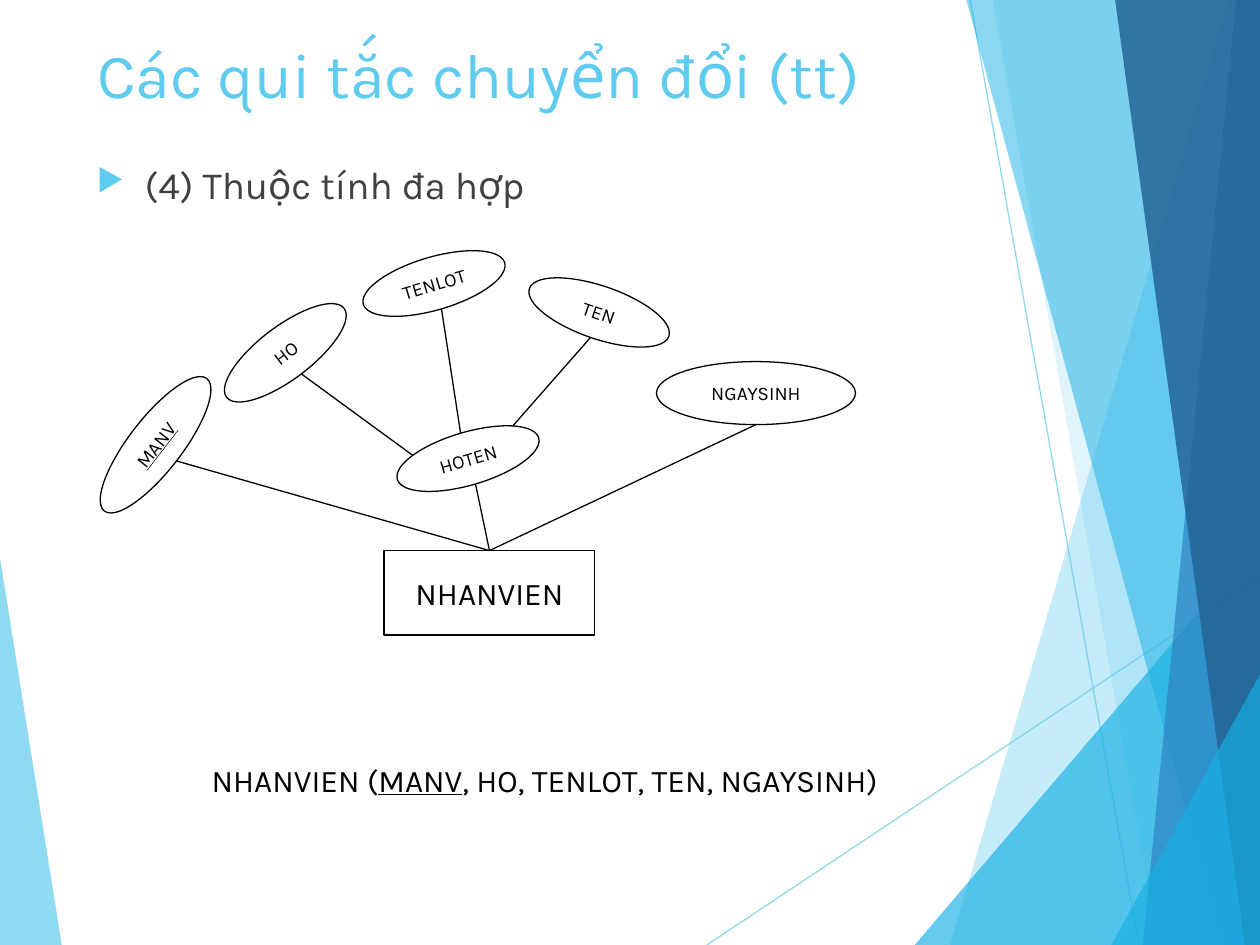
"""Build the slide on mapping a composite attribute to a relation."""
import math
from collections import namedtuple
from lxml import etree
from pptx import Presentation
from pptx import util as u
from pptx.dml.color import RGBColor
from pptx.enum import shapes, text
from pptx.oxml import ns

SKY = RGBColor(0x5F, 0xCB, 0xEF)
CYAN = RGBColor(0x17, 0xB0, 0xE4)
BLUE = RGBColor(0x2E, 0x83, 0xC3)
NAVY = RGBColor(0x22, 0x62, 0x92)
GREY = RGBColor(0x40, 0x40, 0x40)
BLACK = RGBColor(0, 0, 0)
COLUMNS, ROWS = 100, 75

Node = namedtuple("Node", "left top width height rotation")


def rim(node, degrees):
    """Return the point on a turned ellipse at an angle counted clockwise from its right."""
    angle, turn = math.radians(degrees), math.radians(node.rotation)
    x = node.width / 2 * math.cos(angle)
    y = node.height / 2 * math.sin(angle)
    return (node.left + node.width / 2 + x * math.cos(turn) - y * math.sin(turn),
            node.top + node.height / 2 + x * math.sin(turn) + y * math.cos(turn))


class Canvas:
    """Hold the style and the current slide."""

    font = "Karla"

    def __init__(self, presentation):
        self.unit_x = presentation.slide_width / COLUMNS
        self.unit_y = presentation.slide_height / ROWS
        self.slide = presentation.slides.add_slide(presentation.slide_layouts[5])

    def place(self, x, y):
        """Turn columns and rows into lengths."""
        return u.Emu(round(x * self.unit_x)), u.Emu(round(y * self.unit_y))

    def box(self, left, top, width, height):
        """Turn a grid box into lengths."""
        return *self.place(left, top), *self.place(width, height)

    def fade(self, shape, opacity):
        """Make the colours of a shape see-through."""
        for color in shape.element.spPr.iter(ns.qn("a:srgbClr")):
            etree.SubElement(color, ns.qn("a:alpha"), val=str(opacity * 1000))

    def style(self, paragraph, size, color, align=text.PP_ALIGN.CENTER, underlined=""):
        """Format a paragraph and its runs."""
        paragraph.alignment = align
        for run in paragraph.runs:
            run.font.name, run.font.size = self.font, u.Pt(size)
            run.font.color.rgb = color
            if run.text == underlined:
                run.font.underline = True

    def title(self, words, *box):
        """Fill and move the title placeholder."""
        shape = self.slide.shapes.title
        shape.left, shape.top, shape.width, shape.height = self.box(*box)
        frame = shape.text_frame
        frame.text = words
        frame.vertical_anchor = text.MSO_ANCHOR.TOP
        frame.auto_size = text.MSO_AUTO_SIZE.NONE
        self.style(frame.paragraphs[0], 36, SKY, text.PP_ALIGN.LEFT)

    def bullet(self, words, *box):
        """Add a text box with one bulleted line."""
        frame = self.slide.shapes.add_textbox(*self.box(*box)).text_frame
        frame.word_wrap = True
        frame.text = words
        paragraph = frame.paragraphs[0]
        paragraph.space_before = u.Pt(10)
        self.style(paragraph, 22, GREY, text.PP_ALIGN.LEFT)
        properties = paragraph._p.get_or_add_pPr()
        indent = u.Inches(0.38)
        properties.set("marL", str(indent))
        properties.set("indent", str(-indent))
        color = etree.SubElement(properties, ns.qn("a:buClr"))
        etree.SubElement(color, ns.qn("a:srgbClr"), val=str(SKY))
        etree.SubElement(properties, ns.qn("a:buSzPct"), val="80000")
        etree.SubElement(properties, ns.qn("a:buChar"), char="▶")

    def caption(self, pieces, underlined, *box):
        """Add one centred line with an underlined piece."""
        frame = self.slide.shapes.add_textbox(*self.box(*box)).text_frame
        frame.word_wrap = False
        frame.auto_size = text.MSO_AUTO_SIZE.SHAPE_TO_FIT_TEXT
        for piece in pieces:
            frame.paragraphs[0].add_run().text = piece
        self.style(frame.paragraphs[0], 18, BLACK, underlined=underlined)

    def node(self, kind, words, node, size, weight, underlined=""):
        """Add an outlined shape with centred text."""
        shape = self.slide.shapes.add_shape(kind, *self.box(*node[:4]))
        shape.rotation = node.rotation
        shape.shadow.inherit = False
        shape.fill.background()
        shape.line.color.rgb, shape.line.width = BLACK, u.Pt(weight)
        frame = shape.text_frame
        frame.margin_left = frame.margin_right = frame.margin_top = frame.margin_bottom = 0
        frame.vertical_anchor = text.MSO_ANCHOR.MIDDLE
        frame.text = words
        self.style(frame.paragraphs[0], size, BLACK, underlined=underlined)

    def line(self, start, end, color=BLACK, opacity=100):
        """Add a thin straight line."""
        connector = self.slide.shapes.add_connector(
            shapes.MSO_CONNECTOR.STRAIGHT, *self.place(*start), *self.place(*end))
        connector.line.color.rgb, connector.line.width = color, u.Pt(0.75)
        etree.SubElement(connector.element.spPr, ns.qn("a:effectLst"))
        if opacity < 100:
            self.fade(connector, opacity)

    def facet(self, color, opacity, *points):
        """Add a see-through polygon."""
        first, *rest = [self.place(*point) for point in points]
        builder = self.slide.shapes.build_freeform(*first)
        builder.add_line_segments(rest, close=True)
        shape = builder.convert_to_shape()
        shape.shadow.inherit = False
        shape.fill.solid()
        shape.fill.fore_color.rgb = color
        shape.line.fill.background()
        self.fade(shape, opacity)


RIGHT_FACETS = [
    (SKY, 36, 97.5, 75.4, 0),
    (SKY, 20, 78.8, 91.9, 0),
    (CYAN, 66, 100, 72.6, 42.9),
    (CYAN, 50, 76.7, 97, 0),
    (BLUE, 70, 98.1, 90.7, 0),
    (NAVY, 82, 88.5, 98.8, 0),
    (CYAN, 66, 100, 88.2, 53.5),
]
ATTRIBUTES = {
    "MANV": Node(5.7, 33.2, 13.3, 4.2, 307.7),
    "HOTEN": Node(31.3, 34.3, 11.7, 4.2, 343.6),
    "NGAYSINH": Node(52.1, 28.7, 15.8, 5, 0),
    "HO": Node(16.8, 25.9, 11.7, 4.2, 322.9),
    "TENLOT": Node(28.6, 20.4, 11.7, 4.2, 343.6),
    "TEN": Node(41.7, 22.7, 11.7, 4.2, 18.9),
}
ENTITY = Node(30.5, 43.7, 16.7, 6.7, 0)
HOTEN_SIDES = {"HO": 225, "TENLOT": 270, "TEN": 315}

presentation = Presentation()
presentation.slide_width, presentation.slide_height = u.Inches(10), u.Inches(7.5)
canvas = Canvas(presentation)

canvas.facet(SKY, 70, (0, 44.3), (4.9, 75), (0, 75))
canvas.line((56.1, 75), (100, 45.8), SKY, 70)
canvas.line((77, 0), (90.4, 75), SKY, 70)
for color, opacity, upper, lower, top in RIGHT_FACETS:
    canvas.facet(color, opacity, (upper, top), (lower, 75), (100, 75), (100, top))

canvas.title("Các qui tắc chuyển đổi (tt)", 6.7, 2.3, 69.4, 8.8)
canvas.bullet("(4) Thuộc tính đa hợp", 6.7, 12.3, 69.4, 42.4)

canvas.node(shapes.MSO_SHAPE.RECTANGLE, "NHANVIEN", ENTITY, 18, 1)
entity_top = (ENTITY.left + ENTITY.width / 2, ENTITY.top)
for name, attribute in ATTRIBUTES.items():
    canvas.node(shapes.MSO_SHAPE.OVAL, name, attribute, 11, 0.75, underlined="MANV")
    side = HOTEN_SIDES.get(name)
    target = rim(ATTRIBUTES["HOTEN"], side) if side else entity_top
    canvas.line(rim(attribute, 90), target)

canvas.caption(["NHANVIEN (", "MANV", ", HO, TENLOT, TEN, NGAYSINH)"], "MANV",
               14.6, 59.9, 57.3, 4)

presentation.save("out.pptx")
